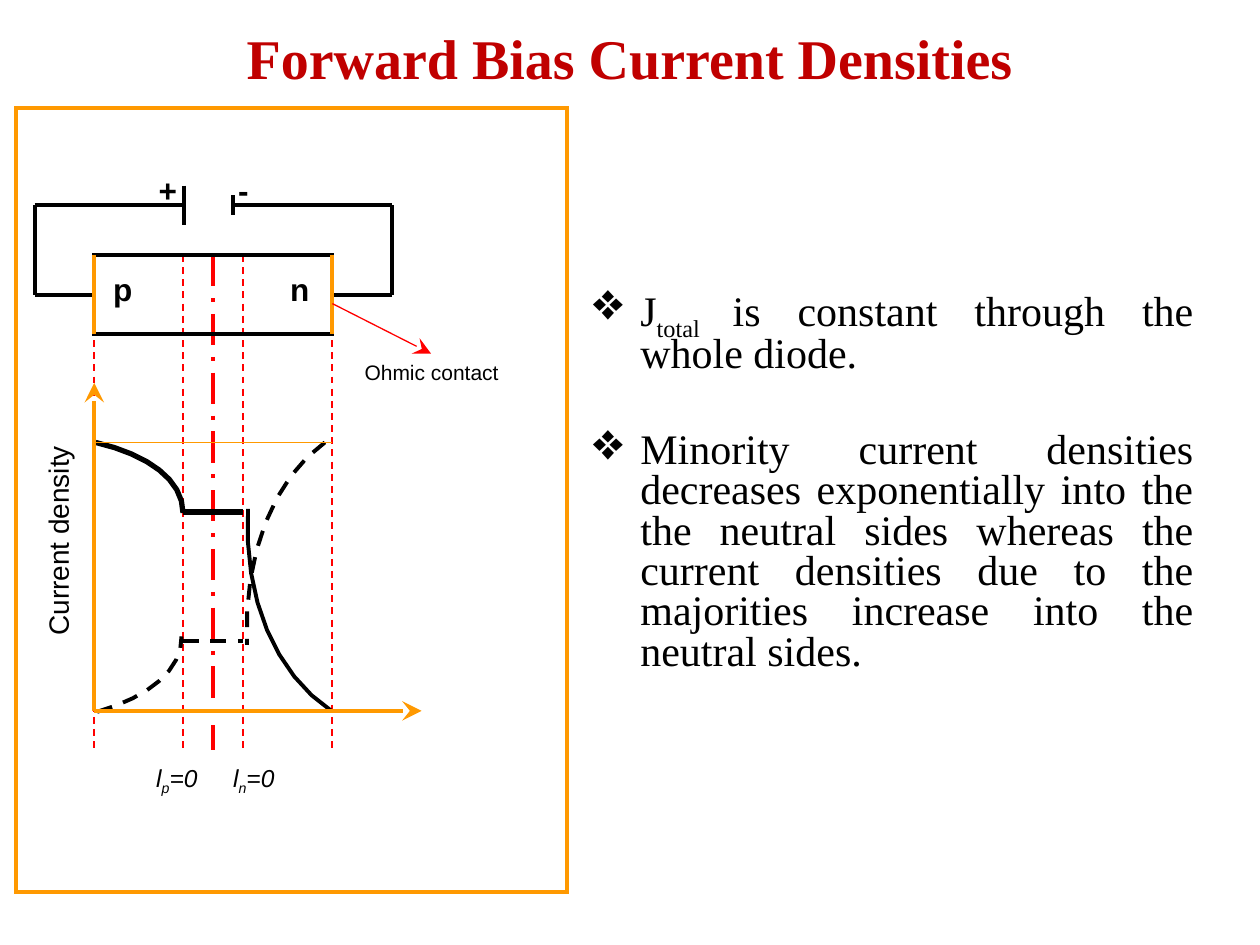
from pptx import Presentation
from pptx.dml.color import RGBColor
from pptx.enum.dml import MSO_LINE_DASH_STYLE as Dash
from pptx.enum.shapes import MSO_CONNECTOR as Conn, MSO_SHAPE as Shape
from pptx.enum.text import MSO_ANCHOR as Anchor, PP_ALIGN as Align
from pptx.oxml.ns import qn
from pptx.util import Cm, Pt
from lxml import etree

BLACK = RGBColor(0x00, 0x00, 0x00)
RED = RGBColor(0xFF, 0x00, 0x00)
DARK_RED = RGBColor(0xC0, 0x00, 0x00)
ORANGE = RGBColor(0xFF, 0x99, 0x00)

# Diagram grid in cm: contacts, depletion edges, junction; device and plot heights
X_LEFT, X_LP, X_MID, X_LN, X_RIGHT = 1.9, 3.69, 4.3, 4.9, 6.7
X_WIRE_L, X_WIRE_R = 0.7, 7.9
Y_TOP, Y_BOTTOM, Y_GUIDE = 5.14, 6.73, 15.11
Y_WIRE, Y_CONTACT = 4.14, 5.94
Y_TOTAL, Y_HIGH, Y_LOW, Y_AXIS = 8.92, 10.32, 12.93, 14.33


def add_text(p, text, font="Arial", size=18, color=BLACK, bold=False,
             italic=False, sub=False):
    r = p.add_run()
    r.text = text
    f = r.font
    f.name, f.size, f.bold, f.italic = font, Pt(size), bold, italic
    f.color.rgb = color
    if sub:
        r._r.get_or_add_rPr().set("baseline", "-25000")


def bezier(a, b, c, d, steps=8):
    for i in range(steps + 1):
        t = i / steps
        u = 1 - t
        yield tuple(Cm(u**3 * a[k] + 3 * u * u * t * b[k]
                       + 3 * u * t * t * c[k] + t**3 * d[k]) for k in (0, 1))


class Slide:
    def __init__(self, prs):
        self.s = prs.slides.add_slide(prs.slide_layouts[6])

    def style(self, line, color, width, dash=None):
        line.color.rgb = color
        line.width = Pt(width)
        if dash:
            line.dash_style = dash

    def rect(self, x, y, w, h, color):
        sp = self.s.shapes.add_shape(Shape.RECTANGLE, Cm(x), Cm(y), Cm(w), Cm(h))
        sp.shadow.inherit = False
        sp.fill.background()
        self.style(sp.line, color, 2.25)
        etree.SubElement(sp.line._get_or_add_ln(), qn("a:miter"), lim="800000")

    def line(self, x1, y1, x2, y2, color=BLACK, width=2.25, dash=None, arrow=False):
        c = self.s.shapes.add_connector(Conn.STRAIGHT, Cm(x1), Cm(y1), Cm(x2), Cm(y2))
        self.style(c.line, color, width, dash)
        if arrow:
            ln = c.line._get_or_add_ln()
            etree.SubElement(ln, qn("a:tailEnd"), type="stealth", w="lg", len="lg")
        etree.SubElement(c._element.spPr, qn("a:effectLst"))

    def curve(self, *controls, width=2.25, dash=None):
        points = list(bezier(*controls))
        fb = self.s.shapes.build_freeform(*points[0])
        fb.add_line_segments(points[1:], close=False)
        sp = fb.convert_to_shape()
        sp.shadow.inherit = False
        sp.fill.background()
        self.style(sp.line, BLACK, width, dash)

    def box(self, x, y, w, h, wrap=False):
        sp = self.s.shapes.add_textbox(Cm(x), Cm(y), Cm(w), Cm(h))
        sp.text_frame.word_wrap = wrap
        return sp

    def label(self, x, y, w, h, text, rotation=0, **fmt):
        sp = self.box(x, y, w, h)
        sp.rotation = rotation
        add_text(sp.text_frame.paragraphs[0], text, **fmt)

    def edge_label(self, x, index):
        p = self.box(x, 15.25, 1.35, 0.84).text_frame.paragraphs[0]
        for text, sub in (("l", False), (index, True), ("=0", False)):
            add_text(p, text, size=14, italic=True, sub=sub)

    def title(self, text):
        tf = self.box(0.42, 0.18, 24.56, 1.93, wrap=True).text_frame
        tf.vertical_anchor = Anchor.MIDDLE
        p = tf.paragraphs[0]
        p.alignment = Align.CENTER
        add_text(p, text, font="Times New Roman", size=32, color=DARK_RED, bold=True)

    def bullets(self, x, y, w, h, items):
        tf = self.box(x, y, w, h, wrap=True).text_frame
        for i, runs in enumerate(items):
            p = tf.add_paragraph() if i else tf.paragraphs[0]
            p.alignment = Align.JUSTIFY
            p.line_spacing = 0.8
            if i:
                p.space_before = Pt(32)
            pPr = p._p.get_or_add_pPr()
            pPr.set("marL", str(Cm(0.95)))
            pPr.set("indent", str(-Cm(0.95)))
            etree.SubElement(pPr, qn("a:buSzPct"), val="125000")
            etree.SubElement(pPr, qn("a:buChar"), char="❖")
            for text, sub in runs:
                add_text(p, text, font="Times New Roman", size=24, sub=sub)


def main():
    prs = Presentation()
    prs.slide_width, prs.slide_height = Cm(25.4), Cm(19.05)
    s = Slide(prs)

    # Title and diagram frame
    s.title("Forward Bias Current Densities")
    s.rect(0.33, 2.18, 11.1, 15.8, ORANGE)

    # Guides at contacts, depletion edges and junction
    for x in (X_LEFT, X_RIGHT, X_LP, X_LN):
        s.line(x, Y_TOP, x, Y_GUIDE, RED, 1, Dash.DASH)
    s.line(X_MID, Y_TOP, X_MID, Y_GUIDE, RED, 2.25, Dash.LONG_DASH_DOT)

    # Diode, wires and battery
    s.rect(X_LEFT, Y_TOP, X_RIGHT - X_LEFT, Y_BOTTOM - Y_TOP, BLACK)
    for wire, contact, plate, half in ((X_WIRE_L, X_LEFT, 3.7, 0.4),
                                       (X_WIRE_R, X_RIGHT, 4.7, 0.2)):
        s.line(wire, Y_WIRE, plate, Y_WIRE)
        s.line(wire, Y_WIRE, wire, Y_CONTACT)
        s.line(wire, Y_CONTACT, contact, Y_CONTACT)
        s.line(plate, Y_WIRE - half, plate, Y_WIRE + half)
        s.line(contact, Y_TOP, contact, Y_BOTTOM, ORANGE)
    for x, y, w, text in ((2.95, 3.33, 0.88, "+"), (4.55, 3.33, 0.72, "-"),
                          (2.03, 5.31, 0.9, "p"), (5.6, 5.31, 0.9, "n")):
        s.label(x, y, w, 1.02, text, bold=True)
    s.line(X_RIGHT, 6.12, 8.69, 7.13, RED, 0.75, arrow=True)
    s.label(7.1, 7.12, 3.23, 0.76, "Ohmic contact", size=12)

    # Current density curves
    s.line(X_LP, Y_HIGH, X_LN, Y_HIGH, width=3)
    s.line(X_LP, Y_LOW, X_LN, Y_LOW, dash=Dash.DASH)
    s.curve((1.93, 8.92), (3, 9.17), (3.69, 9.68), (3.69, 10.34), width=3)
    s.curve((6.68, 14.33), (5.56, 13.59), (4.9, 12.07), (5, 10.26))
    s.curve((1.96, 14.35), (3.02, 14.05), (3.68, 13.49), (3.66, 12.83), dash=Dash.DASH)
    s.curve((6.55, 8.92), (5.54, 9.63), (4.9, 11.15), (4.98, 13), dash=Dash.DASH)

    # Axes, total level and their labels
    s.line(X_LEFT, Y_TOTAL, X_RIGHT, Y_TOTAL, ORANGE, 0.75)
    s.line(X_LEFT, Y_AXIS, 8.5, Y_AXIS, ORANGE, arrow=True)
    s.line(X_LEFT, Y_AXIS, X_LEFT, 7.72, ORANGE, arrow=True)
    s.label(-1, 10.42, 4.34, 0.94, "Current density", rotation=270, size=16)
    s.edge_label(2.9, "p")
    s.edge_label(4.45, "n")

    # Explanation
    s.bullets(11.71, 5.72, 12.6, 9.19, [
        [("J", False), ("total ", True),
         ("is constant through the whole diode.", False)],
        [("Minority current densities decreases exponentially into the the "
          "neutral sides whereas the current densities due to the majorities "
          "increase into the neutral sides.", False)],
    ])
    prs.save("out.pptx")


if __name__ == "__main__":
    main()
